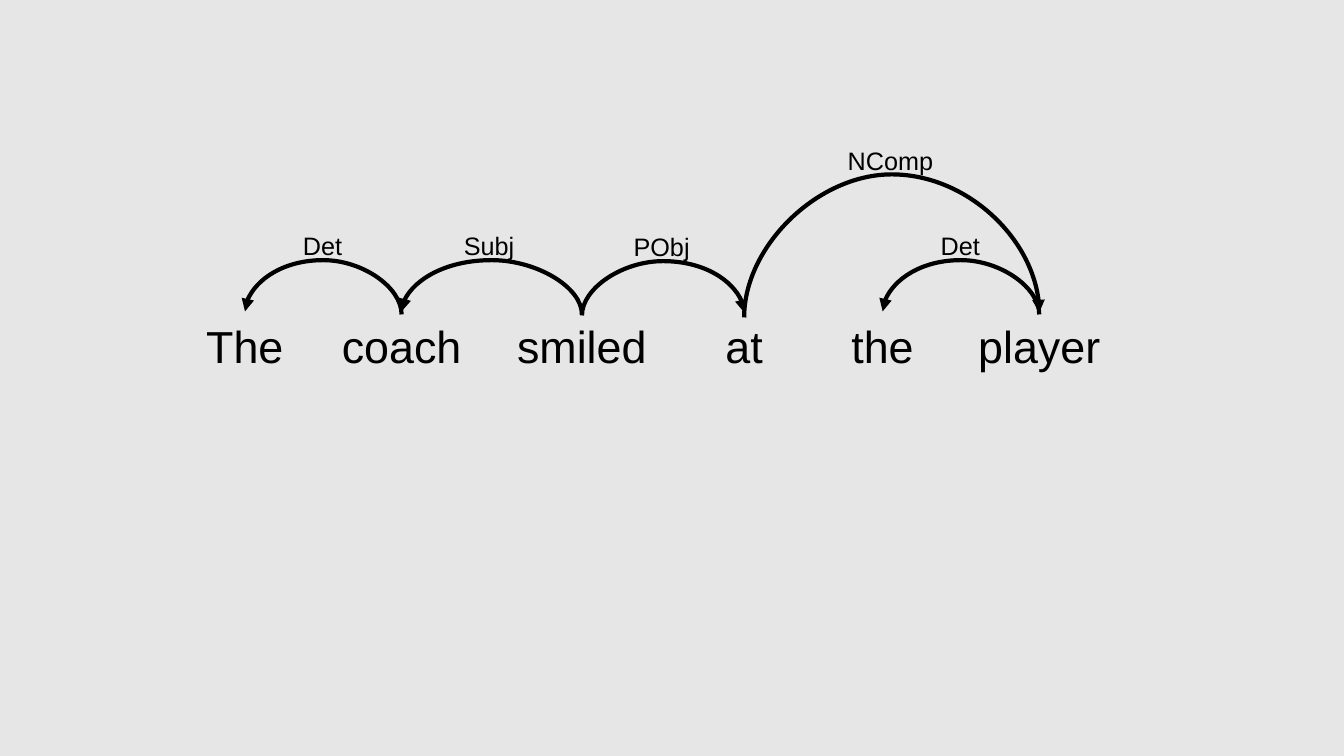
from collections import namedtuple

from lxml import etree
from pptx import Presentation
from pptx.dml.color import RGBColor
from pptx.enum.shapes import MSO_CONNECTOR
from pptx.enum.text import MSO_AUTO_SIZE as AutoSize, PP_ALIGN as Align
from pptx.oxml.ns import qn
from pptx.util import Inches, Pt

# All lengths are in cells of a grid of tenths of an inch.
CELL = Inches(0.1)
COLUMNS, ROWS = 133.33, 75

INK = RGBColor(0x00, 0x00, 0x00)
PAPER = RGBColor(0xE7, 0xE6, 0xE6)
FONT = "Arial"

WORD_HEIGHT, LABEL_HEIGHT = 6.4, 4
LABEL_LIFT = 3.4

Box = namedtuple("Box", "left top width height")
Arc = namedtuple("Arc", "head dependent label label_width rise foot drop")

WORDS = [("The", 10.6), ("coach", 14.2), ("smiled", 15.3),
         ("at", 10.6), ("the", 10.6), ("player", 14.2)]
ARCS = [
    Arc(1, 0, "Det", 6, 5.4, 0.1, 0.3),
    Arc(2, 1, "Subj", 7.5, 5.4, 0.1, 0.3),
    Arc(2, 3, "PObj", 7.8, 5.4, 0.2, 0.3),
    Arc(5, 4, "Det", 6, 5.4, 0.1, 0.3),
    Arc(3, 5, "NComp", 10.7, 14.2, 0.4, 0.5),
]


def cells(*counts):
    return [round(count * CELL) for count in counts]


def add_text(shapes, text, box, size, align, wrap):
    frame = shapes.add_textbox(*cells(*box)).text_frame
    frame.word_wrap = wrap
    frame.auto_size = AutoSize.SHAPE_TO_FIT_TEXT
    frame.text = text
    para = frame.paragraphs[0]
    para.alignment = align
    font = para.runs[0].font
    font.name, font.size, font.color.rgb = FONT, Pt(size), INK


def add_arc(shapes, start, end, foot, rise, drop):
    """Draw an arrow that rises from start and lands a little higher at end."""
    span = abs(end - start)
    middle = (start + end) / 2
    left, right = middle - drop / 2, middle + drop / 2
    centre = foot - drop / 2
    top, bottom = centre - span / 2, centre + span / 2
    rightward = end > start
    # The unrotated frame is a narrow upright one; a quarter turn lays it flat.
    begin_x, end_x = (right, left) if rightward else (left, right)
    arc = shapes.add_connector(MSO_CONNECTOR.CURVE,
                               *cells(begin_x, bottom, end_x, top))
    arc.line.color.rgb = INK
    arc.line.width = Pt(3)

    properties = arc._element.spPr
    quarter_turns = 1 if rightward else 3
    properties.find(qn("a:xfrm")).set("rot", str(quarter_turns * 90 * 60000))
    geometry = properties.find(qn("a:prstGeom"))
    guides = geometry.find(qn("a:avLst"))
    if guides is None:
        guides = etree.SubElement(geometry, qn("a:avLst"))
    bulge = round(rise / drop * 100000)
    etree.SubElement(guides, qn("a:gd"), name="adj1", fmla=f"val {bulge}")
    etree.SubElement(properties.find(qn("a:ln")), qn("a:tailEnd"), type="triangle")
    etree.SubElement(properties, qn("a:effectLst"))


def add_words(page, box):
    """Set the words in a row with equal gaps and return their centres."""
    gap = (box.width - sum(width for _, width in WORDS)) / (len(WORDS) - 1)
    left, centres = box.left, []
    for word, width in WORDS:
        add_text(page.shapes, word, Box(left, box.top, width, box.height),
                 32, Align.CENTER, True)
        centres.append(left + width / 2)
        left += width + gap
    return centres


def add_relation(page, arc, centres, baseline):
    """Group one arrow with the label centred above it."""
    shapes = page.shapes.add_group_shape().shapes
    start, end = centres[arc.head], centres[arc.dependent]
    foot = baseline + arc.foot
    add_arc(shapes, start, end, foot, arc.rise, arc.drop)
    label_box = Box((start + end - arc.label_width) / 2,
                    foot - arc.rise - LABEL_LIFT, arc.label_width, LABEL_HEIGHT)
    add_text(shapes, arc.label, label_box, 18, Align.LEFT, False)


def add_dependency_tree(page, box):
    baseline = box.top + box.height - WORD_HEIGHT
    centres = add_words(page, Box(box.left, baseline, box.width, WORD_HEIGHT))
    for arc in ARCS:
        add_relation(page, arc, centres, baseline)


def main():
    deck = Presentation()
    deck.slide_width, deck.slide_height = cells(COLUMNS, ROWS)
    page = deck.slides.add_slide(deck.slide_layouts[6])
    page.background.fill.solid()
    page.background.fill.fore_color.rgb = PAPER
    add_dependency_tree(page, Box(19, 14, 91.2, 23.5))
    deck.save("out.pptx")


if __name__ == "__main__":
    main()
